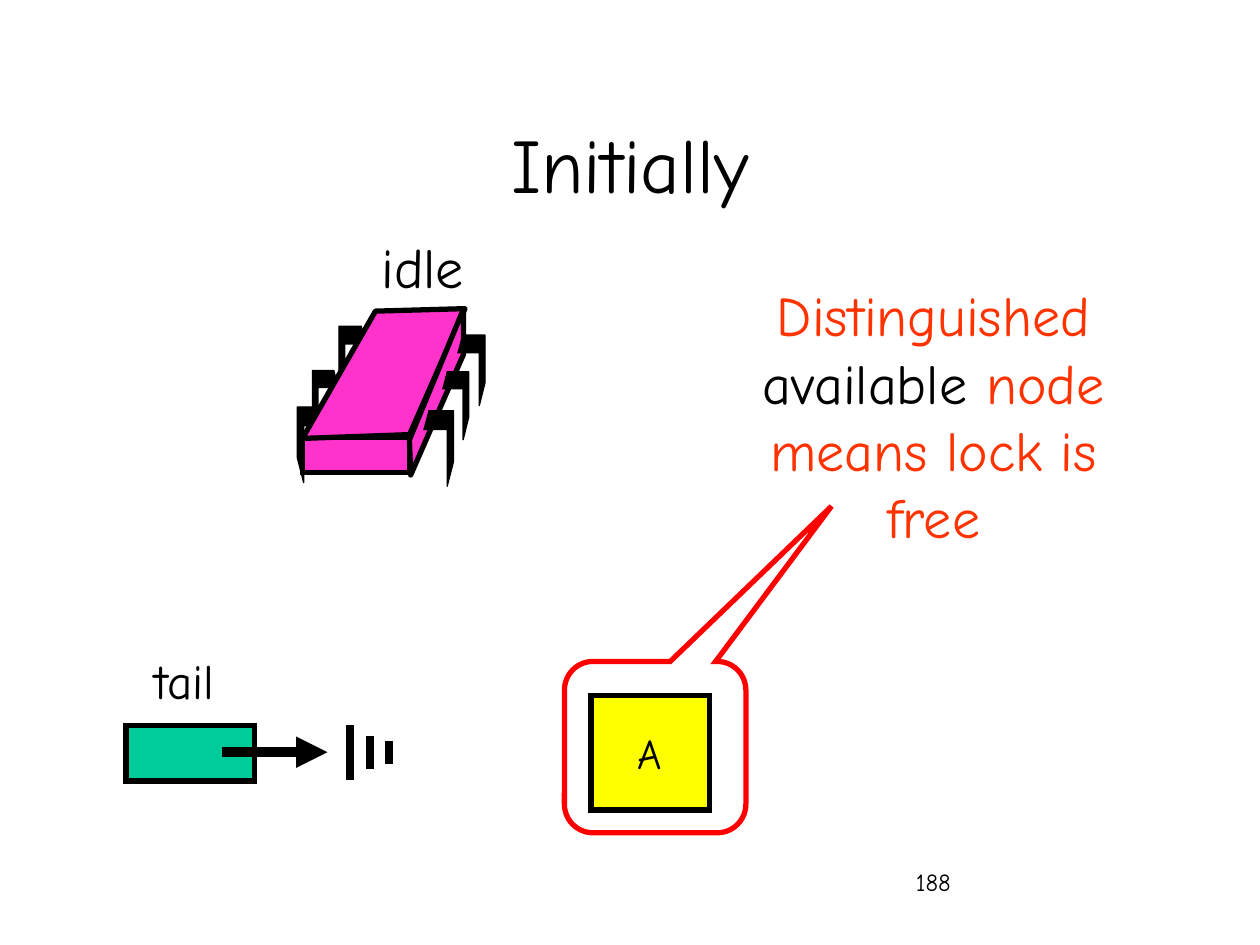
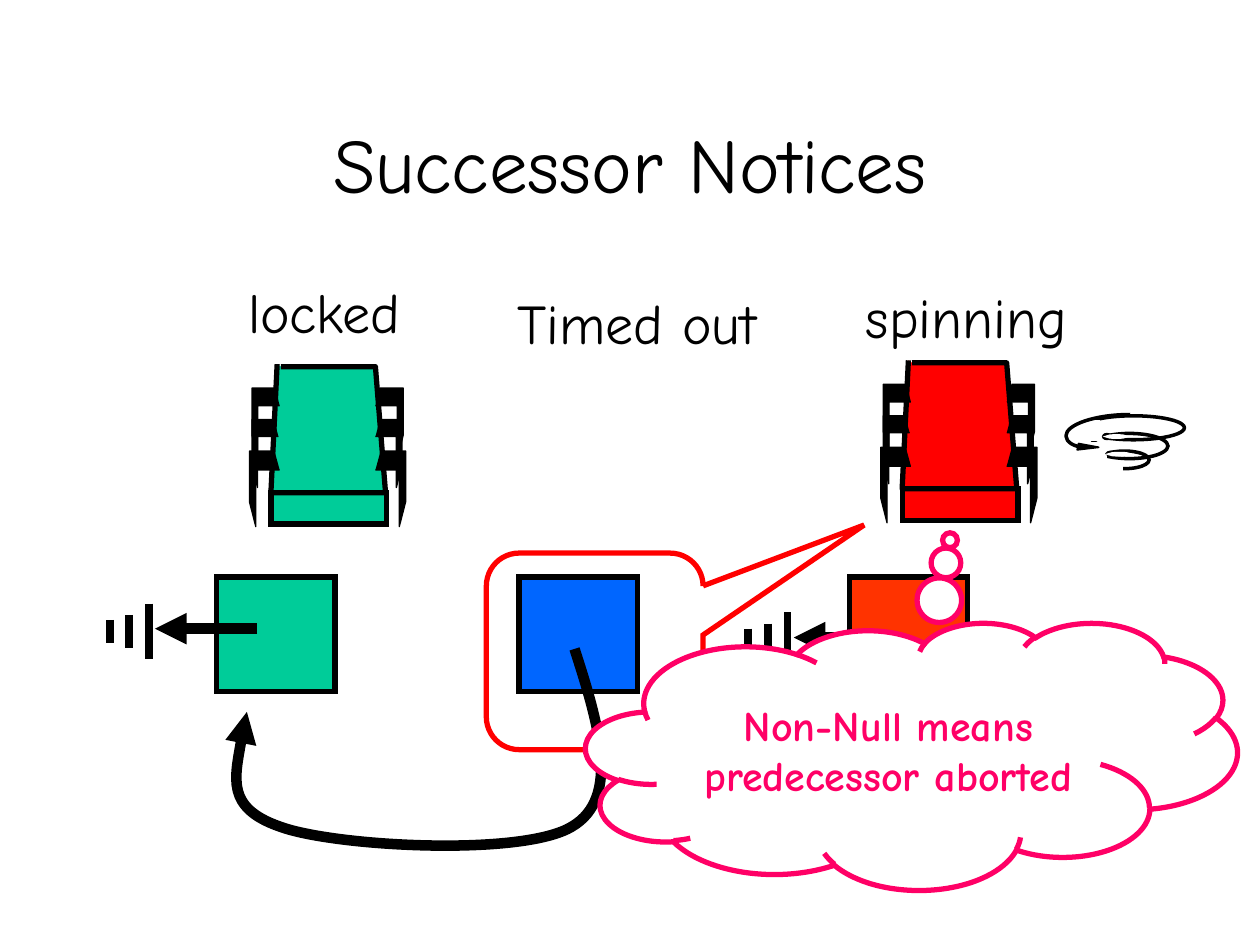
import pptx
import pptx.util
import pptx.dml.color
import pptx.enum.shapes
import pptx.enum.text
import pptx.oxml
import pptx.oxml.ns
from lxml import etree

RGB = pptx.dml.color.RGBColor
PRESET = pptx.enum.shapes.MSO_SHAPE
ALIGN = pptx.enum.text.PP_ALIGN
qn = pptx.oxml.ns.qn

BLACK = RGB(0x00, 0x00, 0x00)
WHITE = RGB(0xFF, 0xFF, 0xFF)
GREEN = RGB(0x00, 0xCC, 0x99)
MAGENTA = RGB(0xFF, 0x33, 0xCC)
YELLOW = RGB(0xFF, 0xFF, 0x00)
RED = RGB(0xFF, 0x00, 0x00)
ORANGE = RGB(0xFF, 0x33, 0x00)
BLUE = RGB(0x00, 0x66, 0xFF)
PINK = RGB(0xFF, 0x00, 0x66)
FONT = "Comic Neue"

prs = pptx.Presentation()
prs.slide_width = pptx.util.Inches(10)
prs.slide_height = pptx.util.Inches(7.5)
COLUMN = prs.slide_width / 10
ROW = prs.slide_height / 7.5


def draw(shapes, preset, place, fill, ink, weight):
    if preset is None:
        points = [(round(x * COLUMN), round(y * ROW)) for x, y in place]
        builder = shapes.build_freeform(*points[0])
        builder.add_line_segments(points[1:], close=False)
        drawn = builder.convert_to_shape()
    else:
        left, top, width, height = place
        drawn = shapes.add_shape(preset, round(left * COLUMN), round(top * ROW),
                                 round(width * COLUMN), round(height * ROW))
    drawn.shadow.inherit = False
    if fill is None:
        drawn.fill.background()
    else:
        drawn.fill.solid()
        drawn.fill.fore_color.rgb = fill
    drawn.line.color.rgb = ink
    drawn.line.width = pptx.util.Pt(weight)
    if preset is not None:
        etree.SubElement(drawn._element.spPr.find(qn("a:ln")), qn("a:miter"), lim="800000")
    return drawn


def write(frame, runs, size, align=ALIGN.CENTER, wrap=True, bold=False):
    frame.word_wrap = wrap
    paragraph = frame.paragraphs[0]
    paragraph.alignment = align
    for words, color in runs:
        run = paragraph.add_run()
        run.text = words
        run.font.name = FONT
        run.font.size = pptx.util.Pt(size)
        run.font.bold = bold
        run.font.color.rgb = color


pages = []
for heading in ["Initially", "Successor Notices"]:
    page = prs.slides.add_slide(prs.slide_layouts[5])
    pages.append(page)
    title = page.shapes.title
    title.left, title.width = round(0.75 * COLUMN), round(8.5 * COLUMN)
    title.top, title.height = round(0.67 * ROW), round(1.25 * ROW)
    title.text_frame.auto_size = pptx.enum.text.MSO_AUTO_SIZE.NONE
    title.text_frame.vertical_anchor = pptx.enum.text.MSO_ANCHOR.MIDDLE
    write(title.text_frame, [(heading, BLACK)], 44)
initially, successor = pages

explanation = [("Distinguished ", ORANGE), ("available", BLACK), (" node means lock is free", ORANGE)]
labels = [
    (initially, (7.17, 6.83, 2.08, 0.5), [("188", BLACK)], 14, ALIGN.LEFT, True),
    (initially, (1, 5.11, 0.8, 0.57), [("tail", BLACK)], 28, ALIGN.RIGHT, False),
    (initially, (2.88, 1.8, 0.95, 0.63), [("idle", BLACK)], 32, ALIGN.CENTER, False),
    (initially, (5.8, 2.18, 3.22, 2.23), explanation, 32, ALIGN.CENTER, True),
    (successor, (1.81, 2.15, 1.53, 0.63), [("locked", BLACK)], 32, ALIGN.CENTER, False),
    (successor, (3.91, 2.24, 2.29, 0.63), [("Timed out", BLACK)], 32, ALIGN.CENTER, False),
    (successor, (6.75, 2.19, 1.84, 0.63), [("spinning", BLACK)], 32, ALIGN.CENTER, False),
]
for page, (left, top, width, height), runs, size, align, wrap in labels:
    label = page.shapes.add_textbox(round(left * COLUMN), round(top * ROW),
                                    round(width * COLUMN), round(height * ROW))
    write(label.text_frame, runs, size, align, wrap)

LEG_SIZES = [(0.24, 0.6), (0.21, 0.54), (0.22, 0.56)]
LEG = [(0.17, 0), (1, 0), (1, 0.67), (0.79, 1), (0.79, 0.25), (0, 0.25)]
angled = [
    ("left", [(0, 0.78), (0.12, 0.49), (0.33, 0.14)]),
    ("face", [(0.04, 1.03), (0.89, 1), (1.33, 0), (0.62, 0.02), (0.04, 1.03)]),
    ("face", [(1.32, 0), (1.32, 0.36), (0.9, 1.32), (0.89, 1.04), (1.32, 0)]),
    ("right", [(1, 0.81), (1.15, 0.5), (1.27, 0.21)]),
]
straight = [
    ("face", [(0.25, 0.02), (1, 0.02), (1.08, 1.02), (0.17, 1.02), (0.22, 0)]),
    ("right", [(1, 0.69), (1, 0.44), (1, 0.19)]),
    ("left", [(0, 0.69), (0.02, 0.44), (0.02, 0.19)]),
]
threads = [
    (initially, 2.36, 2.45, MAGENTA, (0.04, 1.02, 0.85, 0.28), angled),
    (successor, 6.99, 2.86, RED, (0.17, 1.02, 0.92, 0.25), straight),
    (successor, 1.98, 2.89, GREEN, (0.17, 1.02, 0.92, 0.25), straight),
]
for page, left, top, color, (x, y, width, height), layers in threads:
    thread = page.shapes.add_group_shape().shapes
    draw(thread, PRESET.RECTANGLE, (left + x, top + y, width, height), color, BLACK, 3)
    for part, spots in layers:
        if part == "face":
            draw(thread, None, [(left + x, top + y) for x, y in spots], color, BLACK, 3)
            continue
        for (x, y), (width, height) in zip(spots, LEG_SIZES):
            outline = [(left + x + width * (u if part == "right" else 1 - u), top + y + height * v)
                       for u, v in LEG]
            draw(thread, None, outline, BLACK, BLACK, 0.75)

draw(initially.shapes, PRESET.RECTANGLE, (1, 5.76, 1.02, 0.44), GREEN, BLACK, 3)
nodes = [
    (initially, 4.69, 5.52, YELLOW, "A"),
    (successor, 6.74, 4.58, ORANGE, ""),
    (successor, 4.12, 4.58, BLUE, ""),
    (successor, 1.72, 4.58, GREEN, ""),
]
for page, left, top, color, name in nodes:
    node = draw(page.shapes, PRESET.RECTANGLE, (left, top, 0.94, 0.91), color, BLACK, 3)
    if name:
        write(node.text_frame, [(name, BLACK)], 24, wrap=False)

spiral = successor.shapes.add_group_shape().shapes
for place in [(8.73, 3.58, 0.39, 0.14), (8.66, 3.44, 0.61, 0.2), (8.59, 3.3, 0.81, 0.19)]:
    draw(spiral, PRESET.OVAL, place, None, BLACK, 2)
gaps = [(8.46, 3.5), (8.6, 3.56), (8.59, 3.62), (8.72, 3.69),
        (8.58, 3.52), (8.57, 3.45), (8.54, 3.41), (8.54, 3.35)]
for left, top in gaps:
    draw(spiral, PRESET.RECTANGLE, (left, top, 0.18, 0.04), WHITE, WHITE, 2)
turns = [
    ((8.79, 3.59, 0.07, 0.02), BLACK),
    ((8.82, 3.6, 0.13, 0.01), WHITE),
    ((8.76, 3.45, 0.05, 0.03), BLACK),
    ((8.8, 3.46, 0.12, 0.01), WHITE),
]
for place, ink in turns:
    draw(spiral, PRESET.OVAL, place, WHITE, ink, 2)
sweep = draw(spiral, None, [(8.97, 3.29), (8.69, 3.29), (8.46, 3.37), (8.46, 3.46),
                            (8.46, 3.51), (8.53, 3.55), (8.61, 3.55)], None, BLACK, 2)
draw(spiral, None, [(8.56, 3.52), (8.72, 3.55), (8.55, 3.57), (8.56, 3.52)], BLACK, BLACK, 1)

predecessor = draw(successor.shapes, None, [
    (4.56, 5.15), (4.75, 5.74), (4.93, 6.33), (4.54, 6.56), (4.15, 6.8),
    (2.65, 6.72), (2.22, 6.56), (1.79, 6.41), (1.88, 6.03), (1.96, 5.65)], None, BLACK, 6)
for curve in [sweep, predecessor]:
    segments = list(curve._element.iter(qn("a:lnTo")))
    for first in range(0, len(segments), 3):
        bezier = etree.SubElement(segments[first].getparent(), qn("a:cubicBezTo"))
        for segment in segments[first:first + 3]:
            segment.getparent().remove(segment)
            bezier.append(segment[0])

arrows = [predecessor]
callouts = [
    (initially, (4.48, 5.25, 1.44, 1.36), (0.972, -1.406, 0.167)),
    (successor, (3.86, 4.39, 1.72, 1.56), (1.243, -0.643, 0.167)),
]
for page, place, tip in callouts:
    callout = draw(page.shapes, PRESET.ROUNDED_RECTANGULAR_CALLOUT, place, None, RED, 3)
    for index, value in enumerate(tip):
        callout.adjustments[index] = value

null_pointers = [
    (initially, 1.76, 2.6, 5.97, 2.78, 5.97, 0.155),
    (successor, 7.11, 6.3, 5.06, 6.25, 5.08, -0.155),
    (successor, 2.04, 1.23, 4.99, 1.18, 5.01, -0.155),
]
for page, start, end, level, ground, middle, step in null_pointers:
    pointer = page.shapes.add_group_shape().shapes
    strokes = [(start, level, end, level, 6)]
    for index, half in enumerate([0.22, 0.13, 0.09]):
        bar = ground + index * step
        strokes.append((bar, middle - half, bar, middle + half, 4.5))
    for x1, y1, x2, y2, weight in strokes:
        stroke = pointer.add_connector(pptx.enum.shapes.MSO_CONNECTOR.STRAIGHT,
                                       round(x1 * COLUMN), round(y1 * ROW),
                                       round(x2 * COLUMN), round(y2 * ROW))
        stroke.line.color.rgb = BLACK
        stroke.line.width = pptx.util.Pt(weight)
        etree.SubElement(stroke._element.spPr, qn("a:effectLst"))
        if weight == 6:
            arrows.append(stroke)
for arrow in arrows:
    etree.SubElement(arrow._element.spPr.find(qn("a:ln")), qn("a:tailEnd"), type="triangle")

thought = draw(successor.shapes, PRESET.CLOUD_CALLOUT, (4.65, 4.94, 5.17, 2.12), WHITE, PINK, 3)
thought.adjustments[0] = 0.059
thought.adjustments[1] = -0.808
write(thought.text_frame, [("Non-Null means predecessor aborted", PINK)], 24, bold=True)

prs.save("out.pptx")
